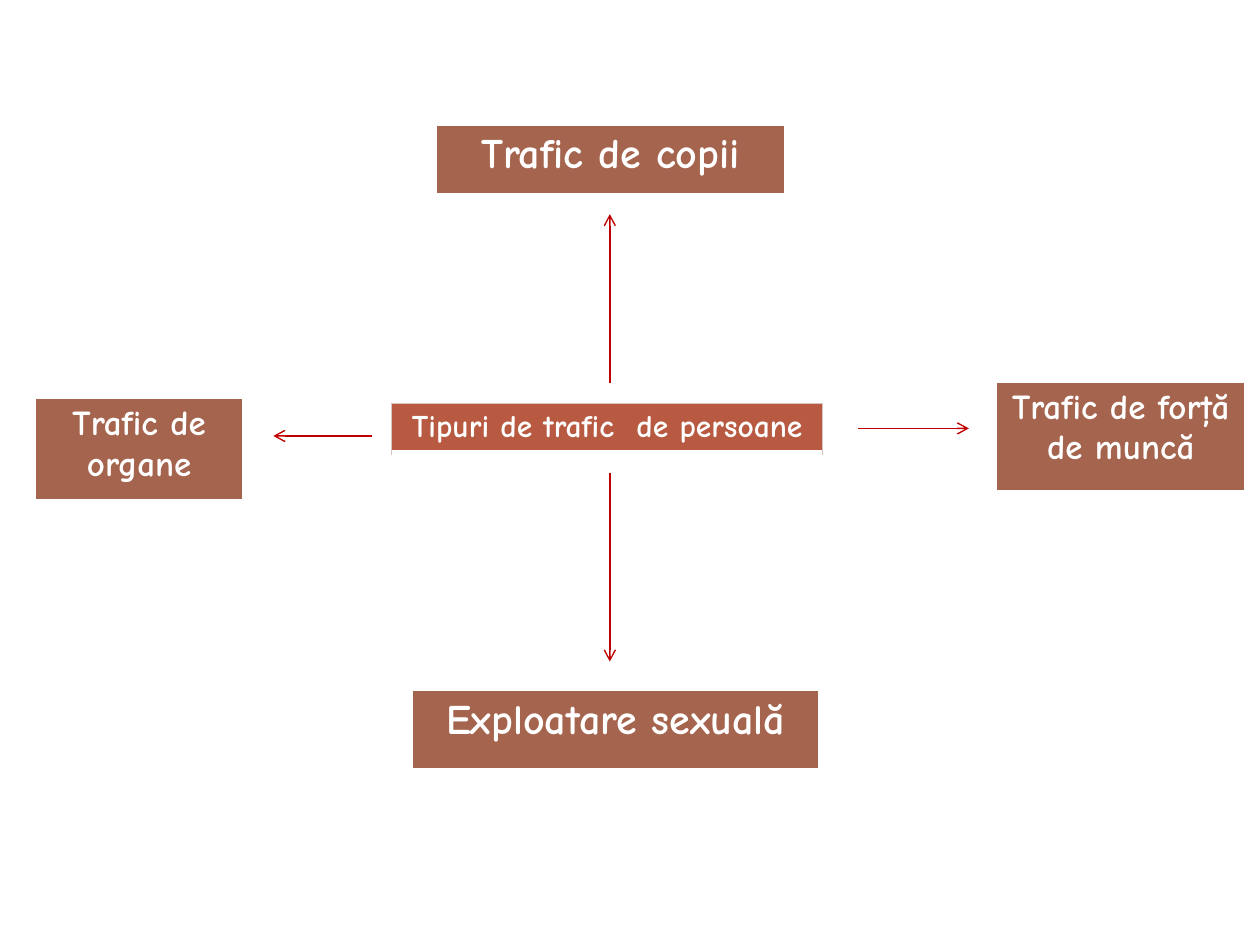
from lxml.etree import SubElement
from pptx import Presentation
from pptx.dml.color import RGBColor
from pptx.enum.shapes import MSO_CONNECTOR
from pptx.enum.text import PP_ALIGN
from pptx.oxml import parse_xml
from pptx.oxml.ns import nsdecls, qn
from pptx.util import Inches, Pt

COLORS = {
    "center": "B85A42",
    "branch": "A5644E",
    "center_border": "D8C6C2",
    "white": "FFFFFF",
    "arrow": "C00000",
}
FONT_NAME = "Comic Neue"
CENTER_BORDER = ("center_border", 0.79)
BRANCH_BORDER = ("white", 1)
BOTTOM_BORDER = ("white", 3)

BRANCHES = [
    ("Trafic de copii", (3.46, 0.99, 2.77, 0.56), 24),
    ("Exploatare sexuală", (3.27, 5.48, 3.23, 0.63), 24),
    ("Trafic de forță de muncă", (7.91, 3.03, 1.97, 0.88), 20),
    ("Trafic de organe", (0.28, 3.16, 1.65, 0.82), 20),
]
ARROWS = [
    (4.84, 3.04, 4.84, 1.7),
    (4.84, 3.75, 4.84, 5.25),
    (6.81, 3.4, 7.69, 3.4),
    (2.95, 3.46, 2.17, 3.46),
]


def color(name):
    return RGBColor.from_string(COLORS[name])


def set_borders(cell, border):
    properties = cell._tc.get_or_add_tcPr()
    sides = {"lnL": border, "lnR": border, "lnT": border, "lnB": BOTTOM_BORDER}
    for position, (side, (name, width)) in enumerate(sides.items()):
        line = parse_xml(
            f'<a:{side} {nsdecls("a")} w="{Pt(width)}"><a:solidFill>'
            f'<a:srgbClr val="{COLORS[name]}"/></a:solidFill></a:{side}>'
        )
        properties.insert(position, line)


def add_label(slide, text, box, size, fill, border):
    table = slide.shapes.add_table(1, 1, *map(Inches, box)).table
    cell = table.cell(0, 0)
    cell.fill.solid()
    cell.fill.fore_color.rgb = color(fill)
    set_borders(cell, border)
    paragraph = cell.text_frame.paragraphs[0]
    paragraph.alignment = PP_ALIGN.CENTER
    run = paragraph.add_run()
    run.text = text
    font_format = {"name": FONT_NAME, "size": Pt(size), "bold": True}
    for attribute, value in font_format.items():
        setattr(run.font, attribute, value)
    run.font.color.rgb = color("white")


def add_arrow(slide, ends):
    connector = slide.shapes.add_connector(MSO_CONNECTOR.STRAIGHT, *map(Inches, ends))
    connector.line.color.rgb = color("arrow")
    connector.line.width = Pt(0.79)
    SubElement(connector.line._get_or_add_ln(), qn("a:tailEnd"), type="arrow")
    SubElement(connector._element.spPr, qn("a:effectLst"))


def main():
    presentation = Presentation()
    presentation.slide_width = Inches(10)
    presentation.slide_height = Inches(7.5)
    slide = presentation.slides.add_slide(presentation.slide_layouts[6])
    add_label(slide, "Tipuri de trafic  de persoane", (3.11, 3.2, 3.42, 0.39), 18,
              "center", CENTER_BORDER)
    for text, box, size in BRANCHES:
        add_label(slide, text, box, size, "branch", BRANCH_BORDER)
    for ends in ARROWS:
        add_arrow(slide, ends)
    presentation.save("out.pptx")


if __name__ == "__main__":
    main()
